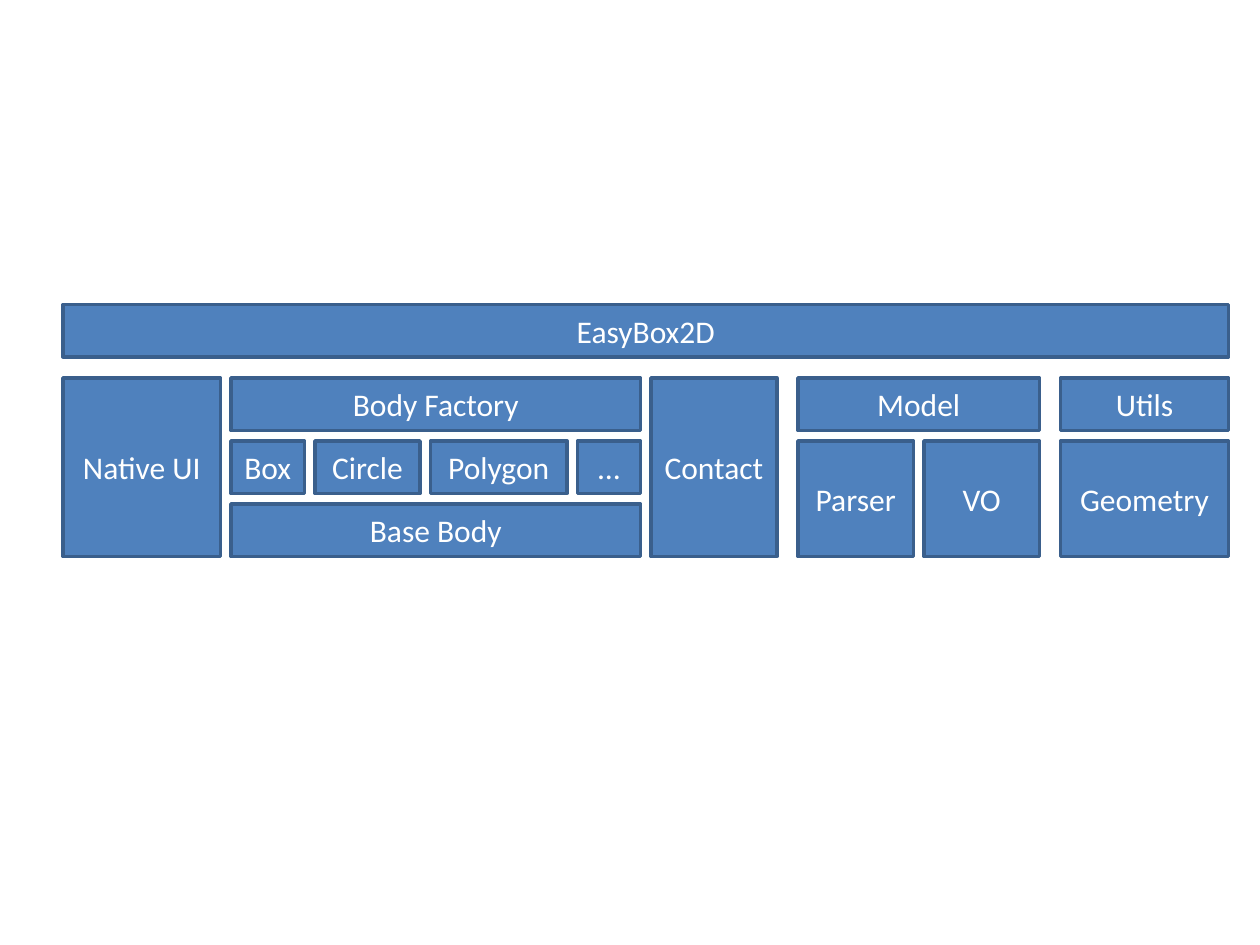
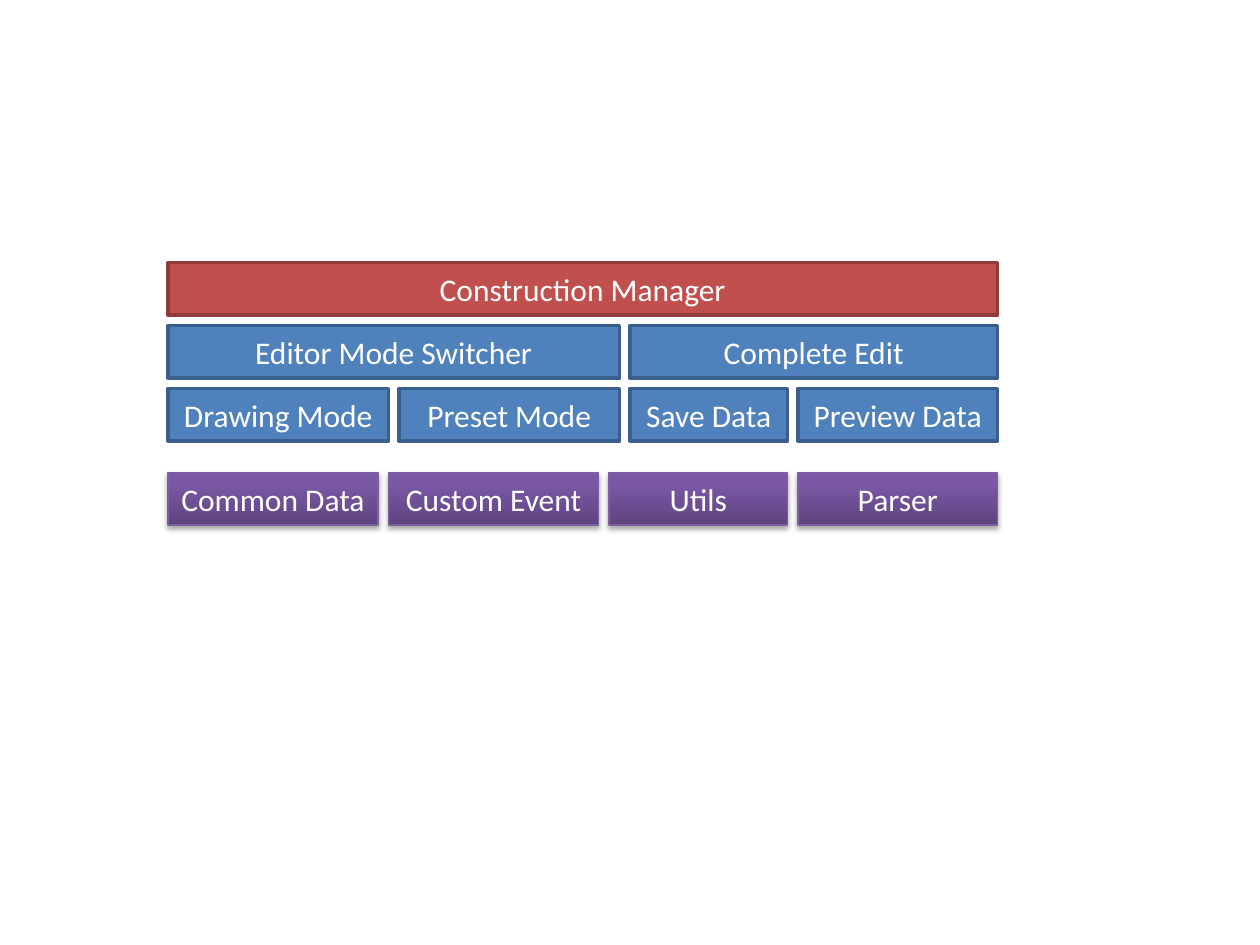
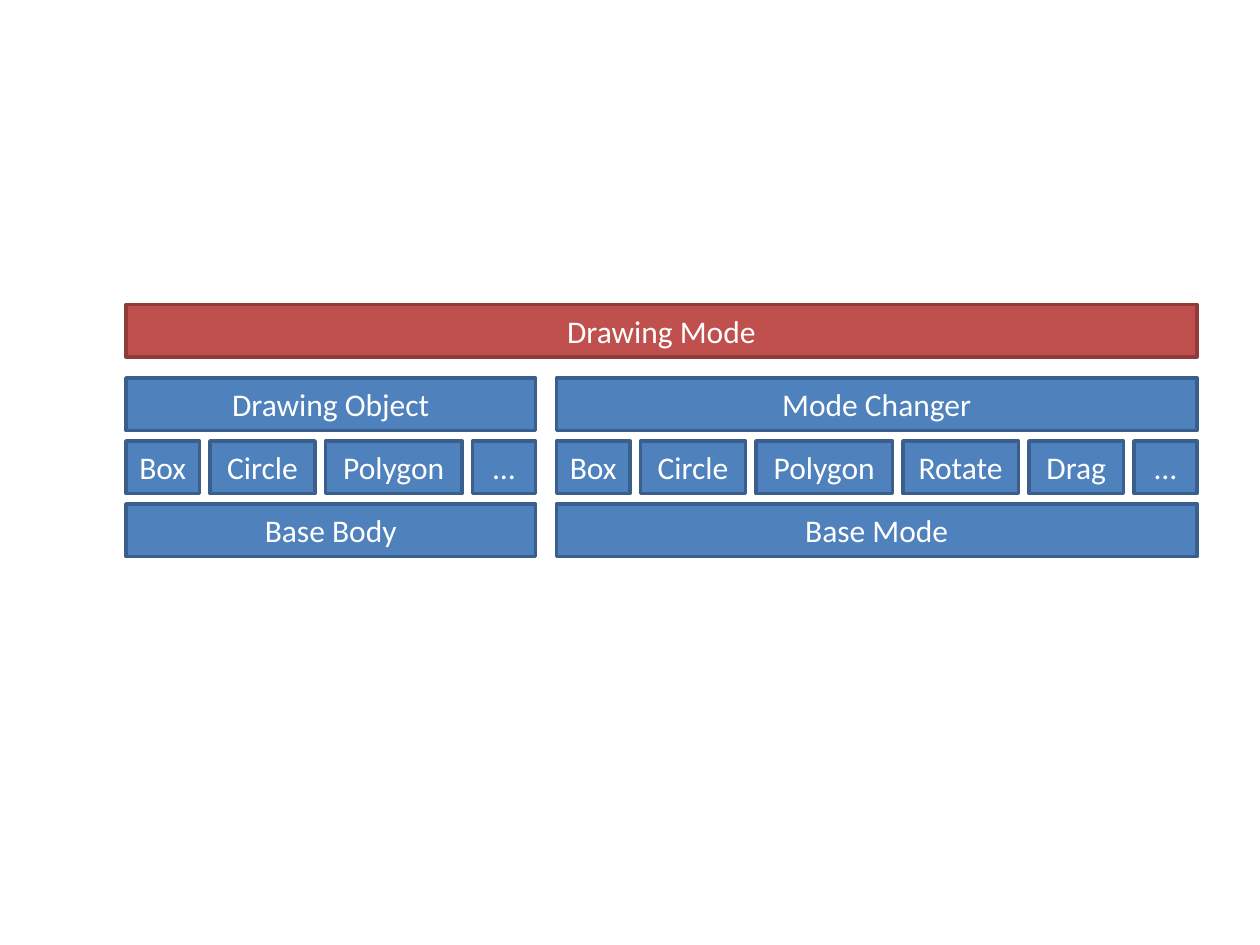
from copy import deepcopy

from pptx import Presentation
from pptx.dml.color import RGBColor
from pptx.enum.shapes import MSO_SHAPE as SHAPE
from pptx.enum.text import MSO_ANCHOR as ANCHOR, PP_ALIGN as ALIGN
from pptx.oxml import parse_xml
from pptx.oxml.ns import nsdecls, qn
from pptx.util import Cm, Pt

WHITE = RGBColor(0xFF, 0xFF, 0xFF)
BLUE = RGBColor(0x4F, 0x81, 0xBD)
BLUE_EDGE = RGBColor(0x3A, 0x5F, 0x8C)
RED = RGBColor(0xC0, 0x50, 0x4D)
RED_EDGE = RGBColor(0x8E, 0x3B, 0x39)
PURPLE_EDGE = RGBColor(0x7D, 0x60, 0xA0)
PURPLE_STOPS = [
    (0, RGBColor(0x5F, 0x44, 0x80)),
    (0.8, RGBColor(0x7B, 0x58, 0xA6)),
    (1, RGBColor(0x7C, 0x57, 0xA8)),
]

GAP = 1
ROW = 5
STEP = ROW + GAP
SHAPES = [("Box", 7), ("Circle", 10), ("Polygon", 13)]
MORE = [("…", 6)]


def grid(n):
    return Cm(n * 2.54 / 12)


class Deck:
    font = "Calibri"
    size = Pt(18)

    def __init__(self):
        self.prs = Presentation()
        self.prs.slide_width = Cm(25.4)
        self.prs.slide_height = Cm(19.05)
        self.slide = None

    def new_slide(self):
        self.slide = self.prs.slides.add_slide(self.prs.slide_layouts[6])

    def block(self, text, x, y, width, rows=1, fill=BLUE, edge=BLUE_EDGE):
        height = rows * STEP - GAP
        s = self.slide.shapes.add_shape(
            SHAPE.RECTANGLE, grid(x), grid(y), grid(width), grid(height))
        s.shadow.inherit = False
        s.fill.solid()
        s.fill.fore_color.rgb = fill
        s.line.color.rgb = edge
        s.line.width = Pt(2)
        tf = s.text_frame
        tf.word_wrap = True
        tf.vertical_anchor = ANCHOR.MIDDLE
        p = tf.paragraphs[0]
        p.alignment = ALIGN.CENTER
        r = p.add_run()
        r.text = text
        r.font.name = self.font
        r.font.size = self.size
        r.font.color.rgb = WHITE
        return s

    def header(self, text, x, y, width):
        return self.block(text, x, y, width, fill=RED, edge=RED_EDGE)

    def glossy_block(self, text, x, y, width):
        s = self.block(text, x, y, width, edge=PURPLE_EDGE)
        s.line.width = Pt(0.75)
        s.fill.gradient()
        s.fill.gradient_angle = 90
        spPr = s._element.spPr
        gs = spPr.find(".//" + qn("a:gs"))
        gs.addnext(deepcopy(gs))
        for stop, (position, color) in zip(s.fill.gradient_stops, PURPLE_STOPS):
            stop.position = position
            stop.color.rgb = color
        spPr.find(qn("a:effectLst")).append(parse_xml(
            f'<a:outerShdw {nsdecls("a")} blurRad="{Pt(3.1)}" dist="{Pt(1.8)}" '
            'dir="5400000" rotWithShape="0"><a:srgbClr val="000000">'
            '<a:alpha val="35000"/></a:srgbClr></a:outerShdw>'))
        return s

    def row(self, x, y, cells, draw=None):
        draw = draw or self.block
        for text, width in cells:
            draw(text, x, y, width)
            x += width + GAP

    def body_stack(self, x, y, top, cells, base):
        width = sum(w + GAP for _, w in cells) - GAP
        self.block(top, x, y, width)
        self.row(x, y + STEP, cells)
        self.block(base, x, y + 2 * STEP, width)


def library_slide(deck):
    deck.new_slide()
    top = 36
    deck.block("EasyBox2D", 6, 29, 111)
    deck.block("Native UI", 6, top, 15, rows=3)
    deck.body_stack(22, top, "Body Factory", SHAPES + MORE, "Base Body")
    deck.block("Contact", 62, top, 12, rows=3)
    deck.block("Model", 76, top, 23)
    deck.block("Parser", 76, top + STEP, 11, rows=2)
    deck.block("VO", 88, top + STEP, 11, rows=2)
    deck.block("Utils", 101, top, 16)
    deck.block("Geometry", 101, top + STEP, 16, rows=2)


def construction_slide(deck):
    deck.new_slide()
    left, top = 16, 25
    deck.header("Construction Manager", left, top, 79)
    deck.row(left, top + STEP, [("Editor Mode Switcher", 43), ("Complete Edit", 35)])
    deck.row(left, top + 2 * STEP, [
        ("Drawing Mode", 21), ("Preset Mode", 21),
        ("Save Data", 15), ("Preview Data", 19)])
    deck.row(left, 45, [
        ("Common Data", 20), ("Custom Event", 20),
        ("Utils", 17), ("Parser", 19)], deck.glossy_block)


def drawing_slide(deck):
    deck.new_slide()
    top = 36
    deck.header("Drawing Mode", 12, 29, 102)
    deck.body_stack(12, top, "Drawing Object", SHAPES + MORE, "Base Body")
    deck.body_stack(53, top, "Mode Changer",
                    SHAPES + [("Rotate", 11), ("Drag", 9)] + MORE, "Base Mode")


def main():
    deck = Deck()
    library_slide(deck)
    construction_slide(deck)
    drawing_slide(deck)
    deck.prs.save("out.pptx")


if __name__ == "__main__":
    main()
